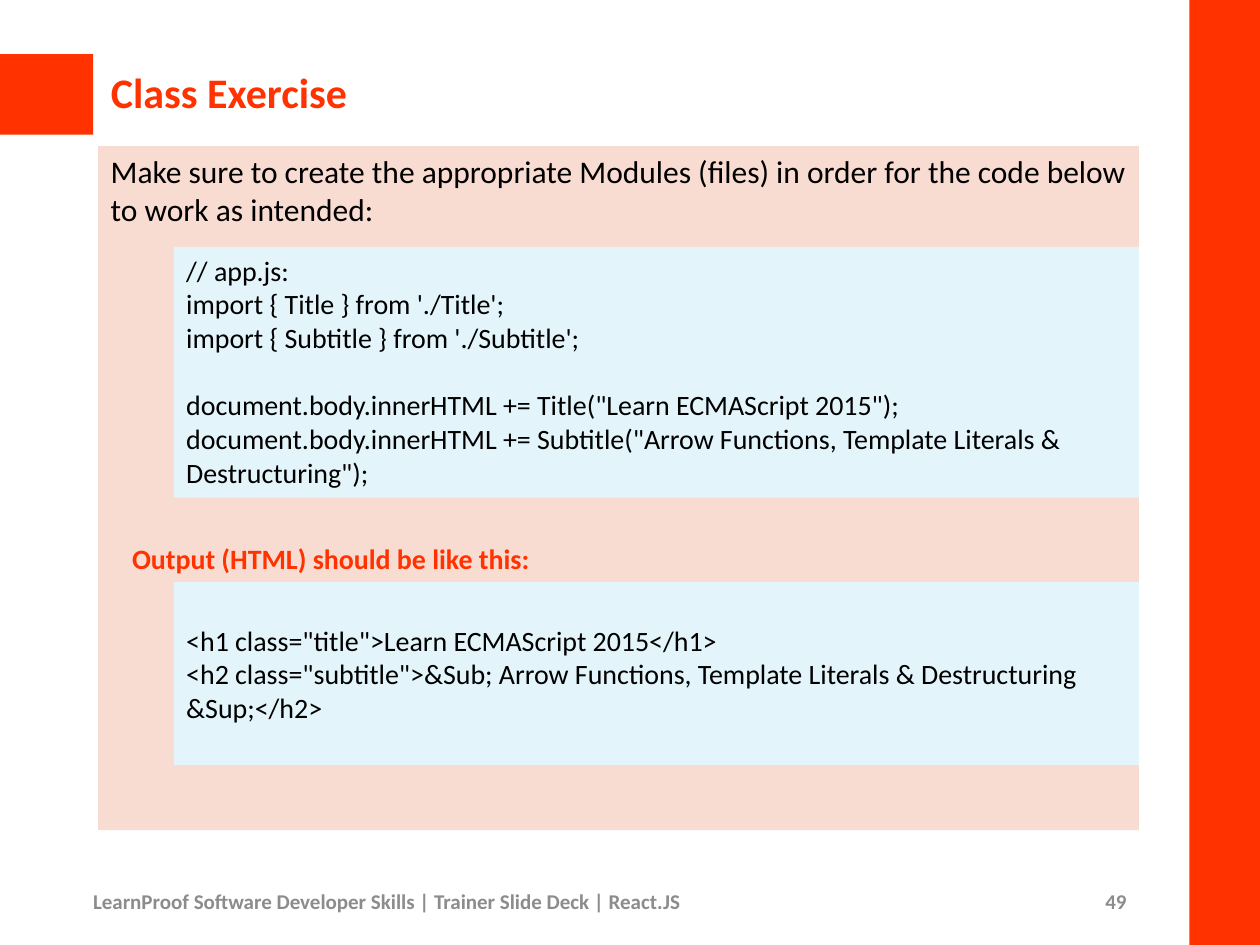
from dataclasses import dataclass

from lxml.etree import SubElement
from pptx import Presentation
from pptx.dml.color import RGBColor
from pptx.enum.shapes import MSO_SHAPE
from pptx.enum.text import MSO_ANCHOR, PP_ALIGN
from pptx.oxml.ns import qn
from pptx.util import Inches, Pt


@dataclass(frozen=True)
class Theme:
    font: str = "Calibri"
    accent: str = "FF3200"
    ink: str = "000000"
    muted: str = "8C8C8C"
    panel: str = "F9DCD1"
    code_panel: str = "E3F5FB"
    title_size: int = 24
    body_size: int = 18
    code_size: int = 16
    footer_size: int = 12


THEME = Theme()
CODE_LINE = 19.5  # points taken by one line of code
RIGHT_EDGE = 9.04

APP_CODE = [
    "// app.js:",
    "import { Title } from './Title';",
    "import { Subtitle } from './Subtitle';",
    'document.body.innerHTML += Title("Learn ECMAScript 2015");',
    'document.body.innerHTML += Subtitle("Arrow Functions, Template Literals & Destructuring");',
]
OUTPUT_CODE = [
    '<h1 class="title">Learn ECMAScript 2015</h1>',
    '<h2 class="subtitle">&Sub; Arrow Functions, Template Literals & Destructuring &Sup;</h2>',
]


def place(shape, left, top, width, height):
    box = {"left": left, "top": top, "width": width, "height": height}
    for name, value in box.items():
        setattr(shape, name, Inches(value))


def style(paragraph, size, color, bold=False):
    font_format = {"name": THEME.font, "size": Pt(size), "bold": bold}
    for name, value in font_format.items():
        setattr(paragraph.font, name, value)
    paragraph.font.color.rgb = RGBColor.from_string(color)


def write(shape, lines, size, color, bold=False, anchor=MSO_ANCHOR.TOP,
          align=PP_ALIGN.LEFT, wrap=True):
    """Fill a shape with one paragraph a line and return the paragraphs."""
    frame = shape.text_frame
    frame.text = "\n".join(lines)
    frame.word_wrap = wrap
    frame.vertical_anchor = anchor
    for paragraph in frame.paragraphs:
        paragraph.alignment = align
        style(paragraph, size, color, bold)
    return frame.paragraphs


def add_block(slide, box, color):
    shape = slide.shapes.add_shape(MSO_SHAPE.RECTANGLE, *map(Inches, box))
    shape.shadow.inherit = False
    shape.fill.solid()
    shape.fill.fore_color.rgb = RGBColor.from_string(color)
    shape.line.fill.background()
    return shape


def add_label(slide, box, text, size, color, **options):
    label = slide.shapes.add_textbox(*map(Inches, box))
    write(label, [text], size, color, bold=True, **options)


def add_title(slide, text):
    title = slide.shapes.title
    place(title, 0.78, 0.43, 8.53, 0.64)
    paragraph, = write(title, [text], THEME.title_size, THEME.accent,
                       bold=True, anchor=MSO_ANCHOR.MIDDLE)
    paragraph.line_spacing = 0.9


def add_bullet(paragraph, indent, hanging):
    properties = paragraph._p.get_or_add_pPr()
    properties.set("marL", str(Inches(indent)))
    properties.set("indent", str(-Inches(hanging)))
    color = SubElement(properties, qn("a:buClr"))
    SubElement(color, qn("a:srgbClr"), val=THEME.accent)
    SubElement(properties, qn("a:buFont"), typeface="Arial")
    SubElement(properties, qn("a:buChar"), char="•")


def add_exercise_panel(slide, text):
    panel = add_block(slide, (0.78, 1.16, RIGHT_EDGE - 0.78, 5.43), THEME.panel)
    panel.text_frame.text = text
    add_bullet(panel.text_frame.paragraphs[0], 0.56, 0.38)
    write(panel, [text], THEME.body_size, THEME.ink)


def add_code(slide, top, height, lines, anchor=MSO_ANCHOR.TOP):
    panel = add_block(slide, (1.38, top, RIGHT_EDGE - 1.38, height), THEME.code_panel)
    return write(panel, lines, THEME.code_size, THEME.ink, anchor=anchor)


def add_footer(slide, text, number):
    split = 7.06
    add_label(slide, (0.64, 6.95, split - 0.64, 0.4), text, THEME.footer_size,
              THEME.muted, anchor=MSO_ANCHOR.MIDDLE)
    add_label(slide, (split, 6.95, RIGHT_EDGE - split, 0.4), number, THEME.footer_size,
              THEME.muted, anchor=MSO_ANCHOR.MIDDLE, align=PP_ALIGN.RIGHT)


def main():
    presentation = Presentation()
    presentation.slide_width = Inches(10)
    presentation.slide_height = Inches(7.5)
    slide = presentation.slides.add_slide(presentation.slide_layouts[5])

    for bar in ((0, 0.43, 0.74, 0.64), (9.44, 0, 0.56, 7.5)):
        add_block(slide, bar, THEME.accent)
    add_title(slide, "Class Exercise")
    add_exercise_panel(slide, "Make sure to create the appropriate Modules (files) "
                              "in order for the code below to work as intended:")
    add_footer(slide, "LearnProof Software Developer Skills | Trainer Slide Deck | React.JS", "49")

    app_lines = add_code(slide, 1.96, 1.99, APP_CODE)
    app_lines[3].space_before = Pt(CODE_LINE)  # parts the imports from the statements
    add_label(slide, (0.95, 4.25, 3.41, 0.37), "Output (HTML) should be like this:",
              THEME.code_size, THEME.accent, wrap=False)
    add_code(slide, 4.62, 1.45, OUTPUT_CODE, anchor=MSO_ANCHOR.MIDDLE)

    presentation.save("out.pptx")


if __name__ == "__main__":
    main()
